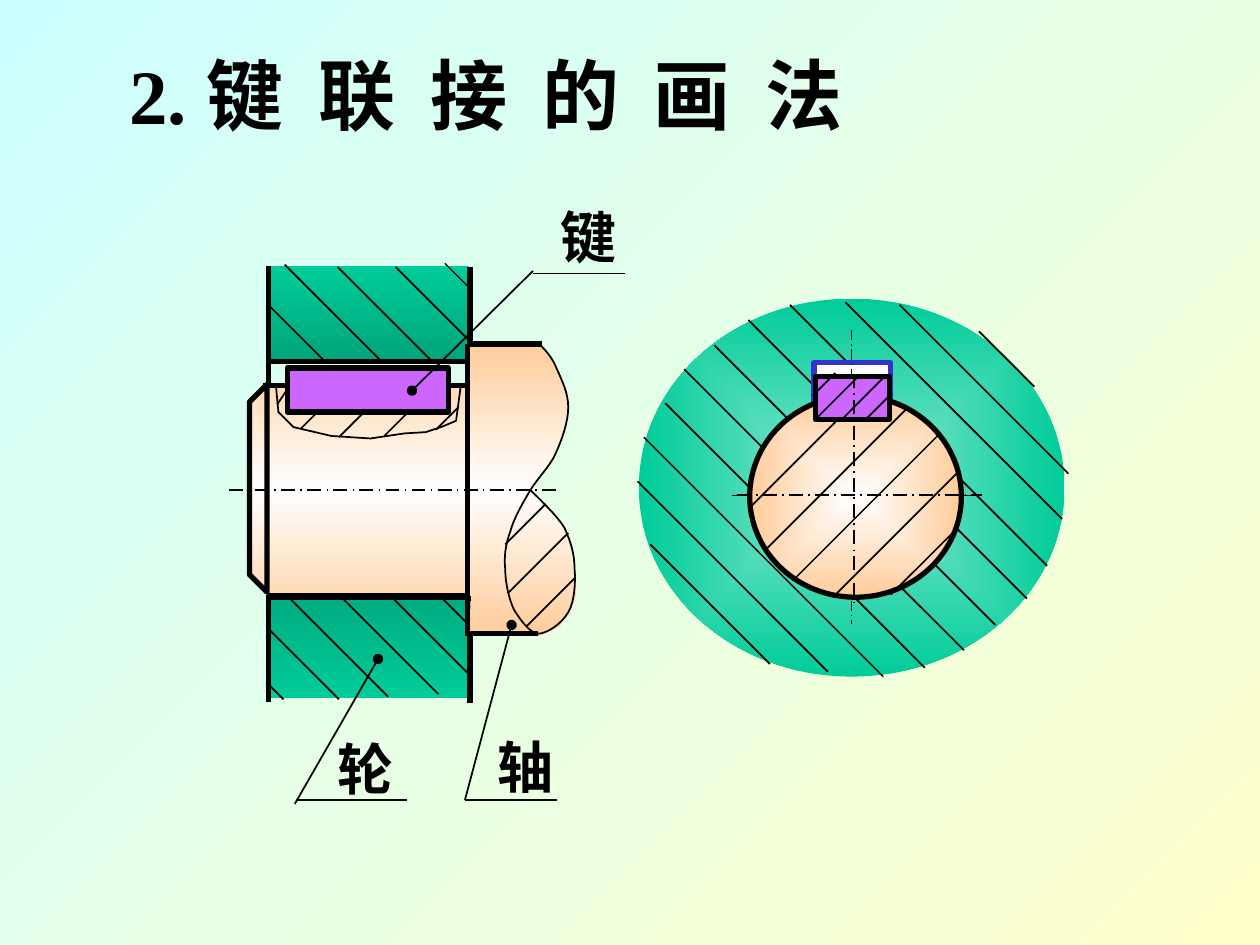
from dataclasses import dataclass
from typing import Any, Optional

from lxml.etree import SubElement
from pptx import Presentation
from pptx.dml.color import RGBColor
from pptx.enum.dml import MSO_LINE
from pptx.enum.shapes import MSO_CONNECTOR, MSO_SHAPE
from pptx.enum.text import MSO_ANCHOR, MSO_AUTO_SIZE, PP_ALIGN
from pptx.oxml.ns import qn
from pptx.util import Inches, Pt

Point = tuple[float, float]


@dataclass(frozen=True)
class Gradient:
    stops: tuple[tuple[int, str], ...]
    angle: Optional[int] = 90


@dataclass(frozen=True)
class Theme:
    font: str = "Times New Roman"
    title: int = 44
    label: int = 32
    ink: str = "000000"
    key: str = "CC66FF"
    slot: str = "FFFFFF"
    slot_edge: str = "3333CC"
    thick: float = 3
    thin: float = 1
    fine: float = 0.75
    back: Gradient = Gradient(((0, "CCFFFF"), (100, "FFFFCC")), 45)
    hub_top: Gradient = Gradient(((0, "00CC99"), (100, "00A47B")))
    hub_bottom: Gradient = Gradient(((0, "00AC81"), (100, "00CC99")))
    hub_end: Gradient = Gradient(((0, "82E6CD"), (100, "00CC99")), None)
    shaft: Gradient = Gradient(((0, "FFCC99"), (50, "FFFFFF"), (100, "FFCC99")))
    shaft_end: Gradient = Gradient(((0, "FFFFFF"), (100, "FFCC99")), None)


@dataclass(frozen=True)
class Hatch:
    x: float
    y: float
    run: float
    width: float = 1


@dataclass(frozen=True)
class Label:
    text: str
    left: float
    top: float
    shelf: tuple[float, float, float]


T = Theme()


def paint_gradient(fill: Any, owner: Any, g: Gradient) -> None:
    fill.gradient()
    grad = owner.find(".//" + qn("a:gradFill"))
    for child in list(grad):
        grad.remove(child)
    stops = SubElement(grad, qn("a:gsLst"))
    for pos, color in g.stops:
        stop = SubElement(stops, qn("a:gs"), pos=str(pos * 1000))
        SubElement(stop, qn("a:srgbClr"), val=color)
    if g.angle is not None:
        SubElement(grad, qn("a:lin"), ang=str(g.angle * 60000), scaled="1")
    else:
        way = SubElement(grad, qn("a:path"), path="rect")
        SubElement(way, qn("a:fillToRect"), **dict.fromkeys("ltrb", "50000"))


def style(sp: Any, fill: Any = None, width: float = 0, color: str = T.ink) -> None:
    sp.shadow.inherit = False
    if isinstance(fill, Gradient):
        paint_gradient(sp.fill, sp.element, fill)
    elif fill:
        sp.fill.solid()
        sp.fill.fore_color.rgb = RGBColor.from_string(fill)
    else:
        sp.fill.background()
    if width:
        sp.line.color.rgb = RGBColor.from_string(color)
        sp.line.width = Pt(width)
    else:
        sp.line.fill.background()


def line(shapes: Any, x1: float, y1: float, x2: float, y2: float,
         width: float = T.thin, axis: bool = False, dot: bool = False) -> None:
    c = shapes.add_connector(MSO_CONNECTOR.STRAIGHT, Inches(x1), Inches(y1), Inches(x2), Inches(y2))
    c.line.color.rgb = RGBColor.from_string(T.ink)
    c.line.width = Pt(width)
    if axis:
        c.line.dash_style = MSO_LINE.LONG_DASH_DOT
    pr = c.element.spPr
    if dot:
        SubElement(pr.find(qn("a:ln")), qn("a:headEnd"), type="oval")
    SubElement(pr, qn("a:effectLst"))


def hatch(shapes: Any, marks: list[Hatch], slope: int) -> None:
    for m in marks:
        line(shapes, m.x, m.y, m.x + m.run, m.y + slope * m.run, m.width)


def outline(shapes: Any, pts: list[Point], close: bool = False, **look: Any) -> None:
    emu = [(Inches(x), Inches(y)) for x, y in pts]
    fb = shapes.build_freeform(*emu[0])
    fb.add_line_segments(emu[1:], close=close)
    style(fb.convert_to_shape(), **look)


def preset(shapes: Any, kind: Any, box: tuple[float, ...], **look: Any) -> None:
    style(shapes.add_shape(kind, *map(Inches, box)), **look)


def bezier(pts: list[Point], steps: int = 8) -> list[Point]:
    out = [pts[0]]
    for i in range(0, len(pts) - 1, 3):
        for k in range(1, steps + 1):
            t = k / steps
            weights = ((1 - t) ** 3, 3 * t * (1 - t) ** 2, 3 * t * t * (1 - t), t ** 3)
            out.append(tuple(sum(w * p[a] for w, p in zip(weights, pts[i:i + 4])) for a in (0, 1)))
    return out


def write(tf: Any, text: str, size: int) -> None:
    tf.vertical_anchor = MSO_ANCHOR.MIDDLE
    p = tf.paragraphs[0]
    p.alignment = PP_ALIGN.CENTER
    r = p.add_run()
    r.text = text
    r.font.name, r.font.size, r.font.bold = T.font, Pt(size), True
    r.font.color.rgb = RGBColor.from_string(T.ink)


def draw_label(shapes: Any, item: Label) -> None:
    x1, x2, y = item.shelf
    line(shapes, x1, y, x2, y)
    tf = shapes.add_textbox(*map(Inches, (item.left, item.top, 0.64, 0.64))).text_frame
    tf.word_wrap = False
    tf.auto_size = MSO_AUTO_SIZE.SHAPE_TO_FIT_TEXT
    write(tf, item.text, T.label)


def draw_wheel(g: Any) -> None:
    outline(g, [(2.13, 2.11), (2.13, 2.87), (3.73, 2.87), (3.72, 2.11)], fill=T.hub_top)
    outline(g, [(2.12, 5.54), (2.13, 5.35), (2.12, 4.75), (3.73, 4.74), (3.73, 5.54)], fill=T.hub_bottom)
    line(g, 3.73, 2.12, 3.73, 5.58, T.thick)
    line(g, 2.13, 2.11, 2.13, 5.57, T.thick)
    hatch(g, [Hatch(2.15, 2.44, 0.43), Hatch(2.26, 2.1, 0.76), Hatch(2.68, 2.12, 0.75),
              Hatch(3.14, 2.12, 0.59), Hatch(3.5, 4.74, 0.23), Hatch(3.13, 4.76, 0.61),
              Hatch(2.73, 4.76, 0.75), Hatch(2.31, 4.76, 0.77), Hatch(2.13, 4.99, 0.56),
              Hatch(2.12, 5.42, 0.13), Hatch(3.53, 2.09, 0.18, T.fine)], 1)
    line(g, 2.02, 3.9, 3.82, 3.9, axis=True)
    for y in (2.87, 3.07, 4.74):
        line(g, 2.13, y, 3.73, y, T.thick)


def draw_shaft(g: Any) -> None:
    outline(g, [(2.13, 3.04), (1.98, 3.17), (1.97, 4.57), (2.13, 4.73), (3.74, 4.73), (3.73, 5.05),
                (4.28, 5.05), (4.44, 4.97), (4.53, 4.83), (4.57, 4.72), (4.56, 4.51), (4.53, 4.28),
                (4.43, 4.11), (4.32, 4), (4.22, 3.87), (4.34, 3.72), (4.44, 3.52), (4.51, 3.31),
                (4.5, 3.11), (4.43, 2.94), (4.35, 2.8), (4.28, 2.72), (3.72, 2.72), (3.72, 3.05),
                (3.57, 3.05), (3.57, 3.26), (2.27, 3.26), (2.27, 3.05)], close=True, fill=T.shaft)
    line(g, 3.71, 2.73, 4.3, 2.73, T.thick)
    line(g, 3.73, 5.03, 4.27, 5.03, T.thick)
    hatch(g, [Hatch(4.01, 4.32, 0.32), Hatch(4.03, 4.71, 0.48), Hatch(4.18, 4.97, 0.38)], -1)
    outline(g, [(2.12, 4.7), (1.98, 4.56), (1.98, 3.19), (2.12, 3.05)], close=True, width=T.thick)
    line(g, 2.09, 3.06, 3.71, 3.06, T.thick)
    preset(g, MSO_SHAPE.RECTANGLE, (2.28, 2.92, 1.28, 0.35), fill=T.key, width=T.thick)
    outline(g, [(2.19, 3.06), (2.21, 3.27), (2.33, 3.39), (2.63, 3.46), (2.94, 3.48), (3.21, 3.44),
                (3.38, 3.43), (3.5, 3.39), (3.62, 3.34), (3.66, 3.04)], width=T.thin)
    line(g, 1.82, 3.89, 4.41, 3.89, axis=True)
    line(g, 2.12, 4.73, 3.71, 4.73, T.thick)
    outline(g, bezier([
        (4.28, 2.73), (4.34, 2.79), (4.39, 2.85), (4.42, 2.93), (4.46, 3.02), (4.51, 3.12), (4.51, 3.23),
        (4.51, 3.35), (4.46, 3.49), (4.41, 3.6), (4.36, 3.71), (4.27, 3.79), (4.21, 3.89),
        (4.15, 3.99), (4.08, 4.11), (4.05, 4.22), (4.01, 4.33), (4, 4.42), (4.01, 4.52),
        (4.01, 4.62), (4.04, 4.76), (4.08, 4.84), (4.13, 4.92), (4.2, 5.02), (4.27, 5.03),
        (4.34, 5.03), (4.46, 4.95), (4.51, 4.86), (4.56, 4.78), (4.57, 4.62), (4.56, 4.51),
        (4.56, 4.4), (4.53, 4.3), (4.48, 4.19), (4.42, 4.09), (4.27, 3.95), (4.21, 3.89)]), width=T.thin)
    line(g, 2.2, 3.21, 2.28, 3.09)
    hatch(g, [Hatch(2.39, 3.4, 0.12), Hatch(2.69, 3.47, 0.2), Hatch(3.05, 3.46, 0.18),
              Hatch(3.46, 3.41, 0.18)], -1)
    line(g, 3.71, 2.73, 3.71, 5.05, T.thick)


def draw_end_view(g: Any) -> None:
    preset(g, MSO_SHAPE.OVAL, (5.07, 2.37, 3.38, 3), fill=T.hub_end)
    hatch(g, [Hatch(5.16, 4.32, 0.95), Hatch(5.06, 3.82, 1.51), Hatch(5.28, 3.2, 0.66),
              Hatch(6.8, 4.76, 0.54), Hatch(5.43, 2.93, 0.64), Hatch(7.12, 4.63, 0.53),
              Hatch(5.67, 2.74, 0.61), Hatch(7.42, 4.48, 0.48), Hatch(5.94, 2.54, 0.54),
              Hatch(7.55, 4.15, 0.6), Hatch(6.27, 2.42, 0.45), Hatch(7.57, 3.75, 0.74),
              Hatch(6.71, 2.4, 1.72), Hatch(7.14, 2.42, 1.34), Hatch(7.77, 2.63, 0.44)], 1)
    line(g, 5.81, 3.93, 7.75, 3.93, T.fine, axis=True)
    outline(g, [(6.46, 3.24), (6.46, 2.88), (7.07, 2.88), (7.07, 3.22)],
            fill=T.slot, width=T.thick, color=T.slot_edge)
    line(g, 6.76, 2.62, 6.76, 4.95, T.fine, axis=True)
    preset(g, MSO_SHAPE.OVAL, (5.95, 3.14, 1.68, 1.6), fill=T.shaft_end, width=T.thick)
    preset(g, MSO_SHAPE.RECTANGLE, (6.47, 2.99, 0.59, 0.34), fill=T.key, width=T.thick)
    hatch(g, [Hatch(6.45, 3.14, 0.18), Hatch(6.49, 3.31, 0.33), Hatch(6.68, 3.33, 0.34),
              Hatch(6.87, 3.33, 0.21), Hatch(7.07, 4.72, 0.53), Hatch(6.61, 4.74, 0.99),
              Hatch(6.29, 4.61, 1.16, T.fine), Hatch(6.07, 4.37, 1.12), Hatch(5.95, 4.03, 0.7)], -1)
    line(g, 6.78, 2.97, 6.78, 4.8, axis=True)
    line(g, 5.85, 3.93, 7.79, 3.93, axis=True)
    hatch(g, [Hatch(5.11, 3.47, 1.9, T.fine)], 1)


def main() -> None:
    prs = Presentation()
    prs.slide_width, prs.slide_height = Inches(10), Inches(7.5)
    s = prs.slides.add_slide(prs.slide_layouts[5])
    paint_gradient(s.background.fill, s.element, T.back)
    title = s.shapes.title
    title.left, title.top, title.width, title.height = map(Inches, (0.42, 0.22, 6.88, 1.05))
    write(title.text_frame, "2. 键  联  接  的  画  法", T.title)
    draw_wheel(s.shapes.add_group_shape().shapes)
    line(s.shapes, 3, 5.23, 2.34, 6.38, dot=True)
    for item in (Label("轮", 2.58, 5.78, (2.35, 3.23, 6.35)),
                 Label("轴", 3.85, 5.76, (3.69, 4.42, 6.35)),
                 Label("键", 4.35, 1.55, (4.23, 4.96, 2.17))):
        draw_label(s.shapes, item)
    draw_shaft(s.shapes.add_group_shape().shapes)
    line(s.shapes, 4.06, 4.96, 3.69, 6.35, dot=True)
    line(s.shapes, 3.27, 3.1, 4.23, 2.15, dot=True)
    draw_end_view(s.shapes.add_group_shape().shapes)
    prs.save("out.pptx")


if __name__ == "__main__":
    main()
